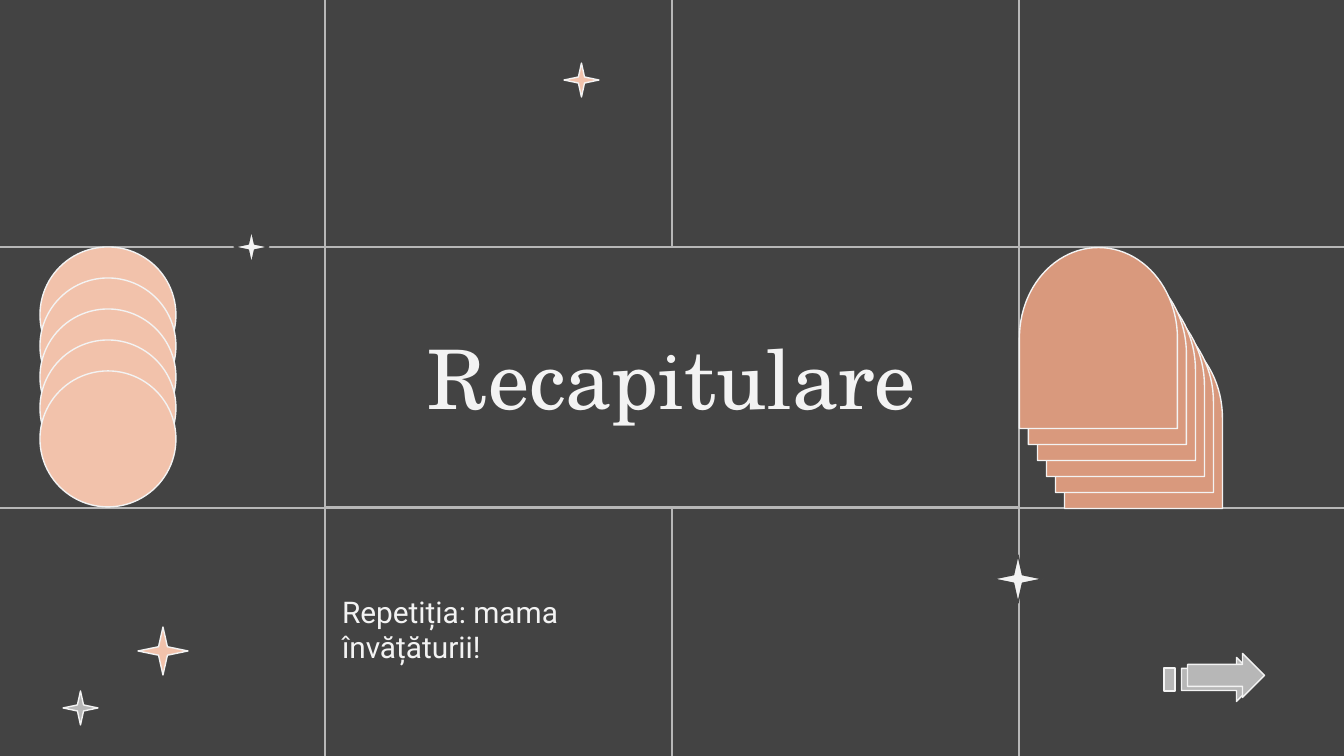
from lxml import etree
from pptx import Presentation
from pptx.dml.color import RGBColor
from pptx.enum.shapes import MSO_CONNECTOR, MSO_SHAPE
from pptx.enum.text import MSO_ANCHOR, PP_ALIGN
from pptx.oxml.ns import qn
from pptx.util import Emu, Pt

EMU_PER_PX = 914400 / 134.4
WIDTH, HEIGHT = 1344, 756

CHARCOAL = RGBColor(0x43, 0x43, 0x43)
GRAY = RGBColor(0xB7, 0xB7, 0xB7)
OFF_WHITE = RGBColor(0xF3, 0xF3, 0xF3)
PEACH = RGBColor(0xF2, 0xC2, 0xAB)
TERRACOTTA = RGBColor(0xD9, 0x99, 0x7D)

SERIF, SANS = "TeX Gyre Schola", "Roboto"
LINE_WIDTH = Pt(0.75)

STRAIGHT = MSO_CONNECTOR.STRAIGHT
RECTANGLE = MSO_SHAPE.RECTANGLE
STAR = MSO_SHAPE.STAR_4_POINT
ARROW = MSO_SHAPE.UP_ARROW
ARCH = MSO_SHAPE.FLOWCHART_DELAY
CIRCLE = MSO_SHAPE.OVAL
MIDDLE = MSO_ANCHOR.MIDDLE
CENTER, LEFT = PP_ALIGN.CENTER, PP_ALIGN.LEFT

SMALL_STAR = (35, 34)
LARGE_STAR = (50, 48)


def px(length):
    return Emu(round(length * EMU_PER_PX))


class SlideBuilder:
    """Draws on one slide in a shared style, measured in px."""

    def __init__(self, slide):
        self.slide = slide
        background = slide.background.fill
        background.solid()
        background.fore_color.rgb = CHARCOAL

    def grid_line(self, x1, y1, x2, y2):
        line = self.slide.shapes.add_connector(
            STRAIGHT, px(x1), px(y1), px(x2), px(y2))
        line.line.color.rgb = GRAY
        line.line.width = LINE_WIDTH
        etree.SubElement(line._element.spPr, qn("a:effectLst"))

    def shape(self, kind, x, y, width, height, fill, outline=OFF_WHITE, rotation=0):
        shape = self.slide.shapes.add_shape(
            kind, px(x), px(y), px(width), px(height))
        shape.shadow.inherit = False
        shape.rotation = rotation
        shape.fill.solid()
        shape.fill.fore_color.rgb = fill
        if outline is None:
            shape.line.fill.background()
        else:
            shape.line.color.rgb = outline
            shape.line.width = LINE_WIDTH
        return shape

    def star(self, x, y, size, fill, outline=OFF_WHITE):
        star = self.shape(STAR, x, y, *size, fill, outline)
        star.adjustments[0] = 0.125

    def text_panel(self, text, x, y, width, height, font, size, align, outline=None):
        panel = self.shape(RECTANGLE, x, y, width, height, CHARCOAL, outline)
        frame = panel.text_frame
        frame.text = text
        frame.word_wrap = True
        frame.vertical_anchor = MIDDLE
        frame.margin_left = frame.margin_right = px(13)
        frame.margin_top = frame.margin_bottom = px(13)
        paragraph = frame.paragraphs[0]
        paragraph.alignment = align
        for run in paragraph.runs:
            run.font.name = font
            run.font.size = Pt(size)
            run.font.color.rgb = OFF_WHITE


def main():
    presentation = Presentation()
    presentation.slide_width = px(WIDTH)
    presentation.slide_height = px(HEIGHT)
    builder = SlideBuilder(
        presentation.slides.add_slide(presentation.slide_layouts[6]))

    for x in (325, 672, 1019):
        builder.grid_line(x, 0, x, HEIGHT)
    for y in (247, 508):
        builder.grid_line(0, y, WIDTH, y)

    builder.star(138, 627, LARGE_STAR, PEACH)
    builder.star(63, 691, SMALL_STAR, GRAY)

    builder.shape(ARROW, 1198, 641, 44, 77, GRAY, rotation=90)
    builder.shape(RECTANGLE, 1164, 668, 11, 23, GRAY)
    builder.shape(ARROW, 1204, 637, 44, 77, GRAY, rotation=90)

    builder.text_panel("Recapitulare", 325, 247, 694, 260,
                       SERIF, 44, CENTER, GRAY)
    builder.text_panel("Repetiția: mama învățăturii!", 329, 586, 337, 86,
                       SANS, 16, LEFT)

    builder.star(234, 230, SMALL_STAR, OFF_WHITE, CHARCOAL)
    builder.star(993, 555, LARGE_STAR, OFF_WHITE, CHARCOAL)

    for step in reversed(range(6)):
        builder.shape(ARCH, 1008 + 9 * step, 259 + 16 * step, 181, 158,
                      TERRACOTTA, rotation=270)
    for step in range(5):
        builder.shape(CIRCLE, 40, 247 + 31 * step, 136, 136, PEACH)

    builder.star(564, 63, SMALL_STAR, PEACH)

    presentation.save("out.pptx")


if __name__ == "__main__":
    main()
